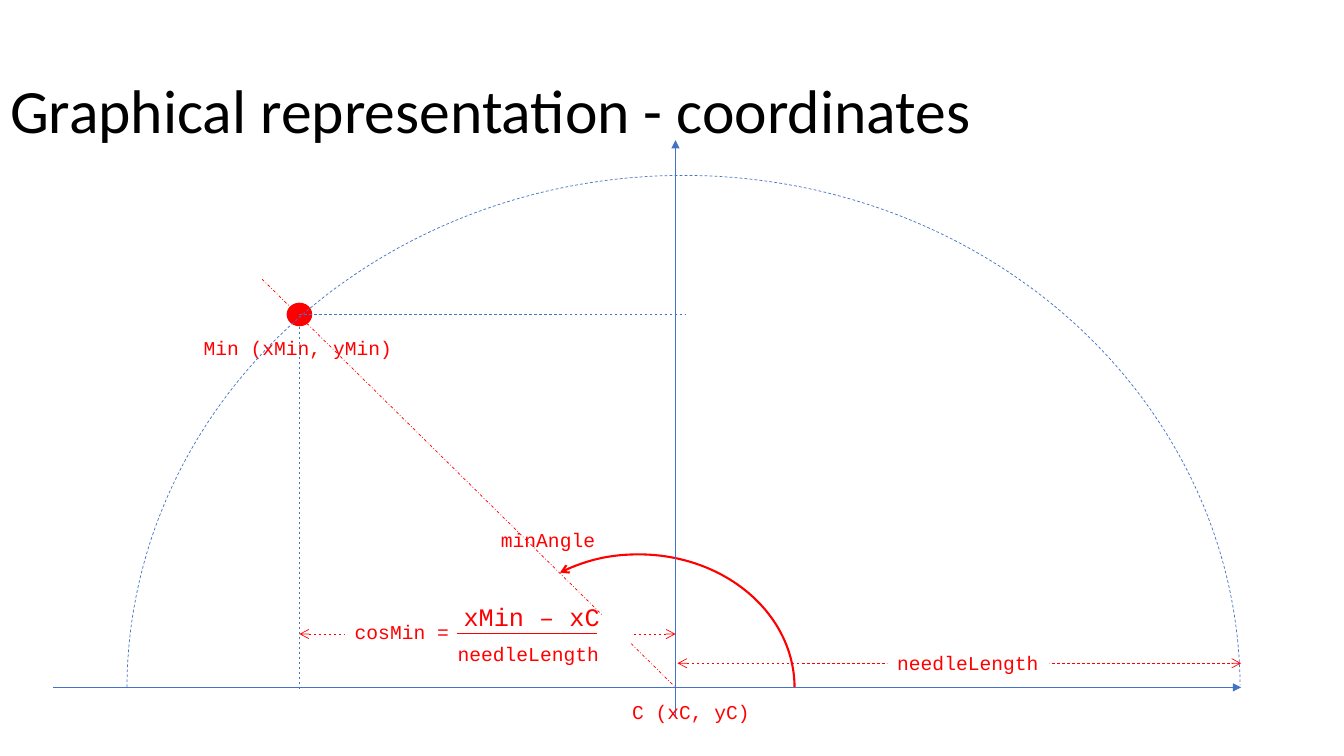
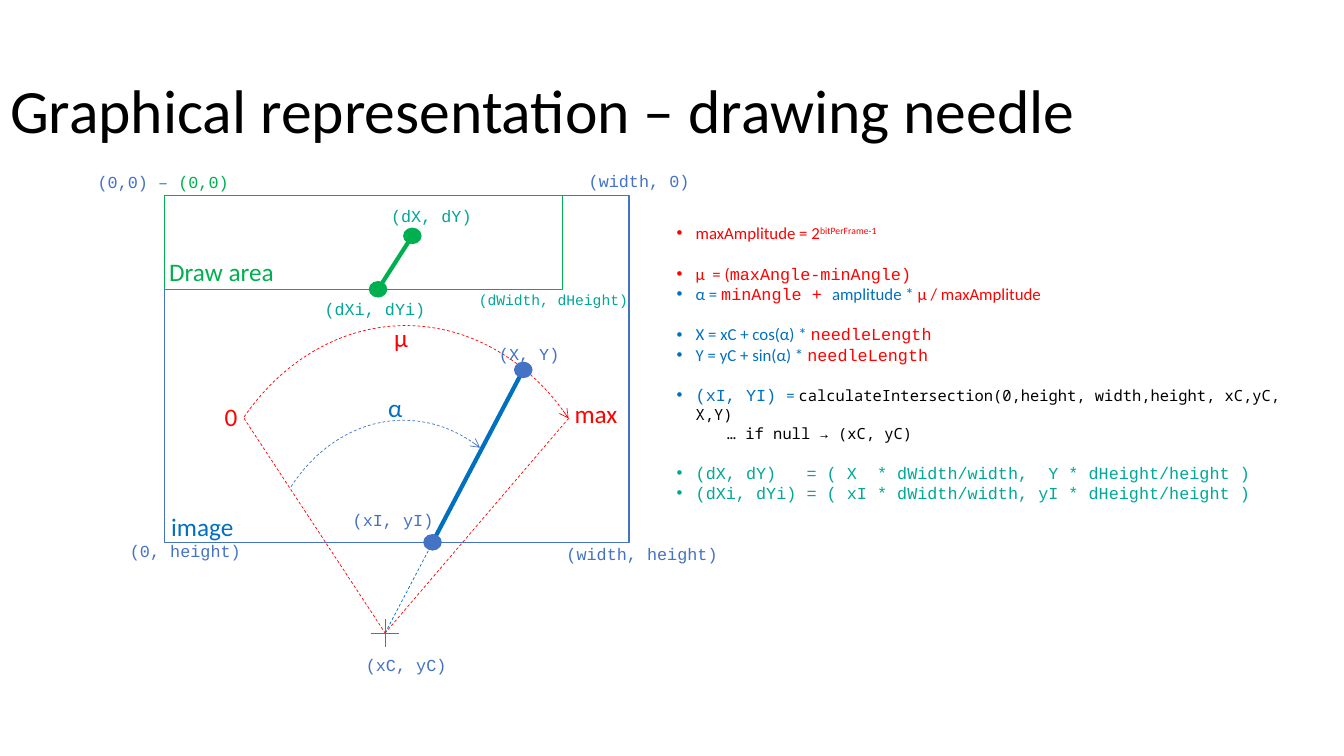
import dataclasses

import lxml.etree
import pptx
import pptx.dml.color
import pptx.enum.dml
import pptx.enum.shapes
import pptx.enum.text
import pptx.oxml.ns
import pptx.util

Inches = pptx.util.Inches
Pt = pptx.util.Pt
qn = pptx.oxml.ns.qn
SHAPE = pptx.enum.shapes.MSO_SHAPE
DASH = pptx.enum.dml.MSO_LINE.DASH
DASH_DOT = pptx.enum.dml.MSO_LINE.DASH_DOT
LEFT = pptx.enum.text.PP_ALIGN.LEFT


@dataclasses.dataclass(frozen=True)
class Theme:
    black: str = "000000"
    white: str = "FFFFFF"
    red: str = "FF0000"
    blue: str = "4472C4"
    deep_blue: str = "0070C0"
    green: str = "00B050"
    teal: str = "01A797"
    sans: str = "Calibri"
    code: str = "Courier New"
    mono: str = "Noto Sans Mono"
    title: float = 44
    large: float = 18
    medium: float = 14
    small: float = 12
    mono_size: float = 11
    tiny: float = 10.5
    hairline: float = 0.5
    outline: float = 1
    arc: float = 1.5
    needle: float = 3


THEME = Theme()


@dataclasses.dataclass(frozen=True)
class Box:
    left: float
    top: float
    width: float
    height: float


def apply_format(target, values):
    for name, value in values.items():
        setattr(target, name, value)


def rgb(color):
    return pptx.dml.color.RGBColor.from_string(color)


def place(shape, box):
    apply_format(shape, {name: Inches(value) for name, value in dataclasses.asdict(box).items()})


def add_run(paragraph, text, color, font, size):
    run = paragraph.add_run()
    run.text = text
    apply_format(run.font, {"name": font, "size": Pt(size)})
    run.font.color.rgb = rgb(color)
    return run


class Sketch:
    def __init__(self, slide, box):
        self.shapes = slide.shapes
        self.box = box

    def at(self, x, y):
        return Inches(self.box.left + x), Inches(self.box.top + y)

    def stroke(self, shape, color, width, dash=None, head=None, tail=None):
        shape.line.color.rgb = rgb(color)
        apply_format(shape.line, {"width": Pt(width), "dash_style": dash})
        properties = shape._element.spPr
        outline = properties.find(qn("a:ln"))
        for tag, arrow in (("a:headEnd", head), ("a:tailEnd", tail)):
            if arrow:
                lxml.etree.SubElement(outline, qn(tag), type=arrow)
        lxml.etree.SubElement(properties, qn("a:effectLst"))

    def line(self, start, end, color, width=THEME.hairline, **style):
        connector = self.shapes.add_connector(
            pptx.enum.shapes.MSO_CONNECTOR.STRAIGHT, *self.at(*start), *self.at(*end))
        self.stroke(connector, color, width, **style)

    def outline(self, kind, x, y, width, height, color, weight, **style):
        shape = self.shapes.add_shape(kind, *self.at(x, y), Inches(width), Inches(height))
        shape.fill.background()
        self.stroke(shape, color, weight, **style)
        return shape

    def arc(self, x, y, width, height, start, end, color, weight=THEME.hairline, **style):
        shape = self.outline(SHAPE.ARC, x, y, width, height, color, weight, **style)
        for index, degrees in enumerate((start, end)):
            shape.adjustments[index] = degrees * 0.6

    def dot(self, center, width, height, color):
        x, y = center
        shape = self.outline(SHAPE.OVAL, x - width / 2, y - height / 2, width, height,
                             color, THEME.outline)
        shape.fill.solid()
        shape.fill.fore_color.rgb = rgb(color)

    def label(self, x, y, width, runs, size, font=THEME.code, fill=None, wrap=False):
        height = size * 1.2 / 72 + 0.1
        shape = self.shapes.add_textbox(*self.at(x, y), Inches(width), Inches(height))
        shape.text_frame.word_wrap = wrap
        if fill:
            shape.fill.solid()
            shape.fill.fore_color.rgb = rgb(fill)
        for text, color in runs:
            add_run(shape.text_frame.paragraphs[0], text, color, font, size)


def add_titled_slide(presentation, layout_index, title):
    slide = presentation.slides.add_slide(presentation.slide_layouts[layout_index])
    shape = slide.shapes.title
    place(shape, Box(0, 0.4, 11.5, 1.45))
    apply_format(shape.text_frame, {
        "vertical_anchor": pptx.enum.text.MSO_ANCHOR.MIDDLE,
        "auto_size": pptx.enum.text.MSO_AUTO_SIZE.NONE,
        "word_wrap": True,
    })
    paragraph = shape.text_frame.paragraphs[0]
    apply_format(paragraph, {"alignment": LEFT, "line_spacing": 0.9})
    add_run(paragraph, title, THEME.black, THEME.sans, THEME.title)
    return slide


def draw_coordinates(slide, box):
    sketch = Sketch(slide, box)
    red, blue = THEME.red, THEME.blue
    center_x, axis_y = 6.17, 5.43
    min_x, min_y = 2.44, 1.73
    cosine_y, length_y = 4.9, 5.19
    dimension = {"dash": DASH, "head": "arrow", "tail": "arrow"}

    def label(x, y, width, text, size=THEME.medium, **style):
        sketch.label(x, y, width, [(text, red)], size, **style)

    sketch.line((center_x + 0.02, length_y), (box.width, length_y), red, **dimension)
    sketch.line((2.07, 1.38), (center_x, axis_y), red, dash=DASH_DOT)
    sketch.arc(4.26, 4.11, 3.09, 2.64, 235.55, 0, red, THEME.arc, head="arrow")
    label(4.34, 3.8, 1.14, "minAngle")
    label(1.39, 1.89, 2.08, "Min (xMin, yMin)")
    sketch.dot((min_x, min_y), 0.24, 0.22, red)
    sketch.line((center_x, box.height), (center_x, 0), blue, tail="triangle")
    sketch.line((0, axis_y), (box.width, axis_y), blue, tail="triangle")
    sketch.line((min_x, min_y + 0.12), (min_x, axis_y + 0.04), blue, dash=DASH)
    sketch.arc(0.73, 0.35, 11.04, 10.19, 180.18, 359.62, blue, dash=DASH)
    sketch.line((min_x, min_y), (center_x + 0.09, min_y), blue, dash=DASH)
    label(5.64, 5.5, 1.38, "C (xC, yC)")
    label(8.27, 5.02, 1.61, "needleLength", fill=THEME.white)
    sketch.line((min_x, cosine_y), (center_x, cosine_y), red, **dimension)
    label(2.89, 4.71, 2.84, "cosMin =", fill=THEME.white, wrap=True)
    label(3.91, 4.93, 1.61, "needleLength", fill=THEME.white)
    label(3.97, 4.53, 1.67, "xMin – xC", THEME.large, wrap=True)
    sketch.line((4, cosine_y - 0.01), (5.39, cosine_y - 0.01), red)


def draw_needle(slide, box):
    sketch = Sketch(slide, box)
    red, blue, deep_blue = THEME.red, THEME.blue, THEME.deep_blue
    green, teal = THEME.green, THEME.teal
    draw_width, draw_height = 3.95, 0.93
    center_x, center_y = center = (2.19, 4.34)
    needle_start, needle_end = (2.66, box.height), (3.56, 1.73)
    small_start, small_end = (2.12, draw_height), (2.46, 0.4)

    sketch.outline(SHAPE.RECTANGLE, 0, 0, box.width, box.height, blue, THEME.outline)
    sketch.outline(SHAPE.RECTANGLE, 0, 0, draw_width, draw_height, green, THEME.outline)
    for x, y in ((0, 0.14), (0.14, 0)):
        sketch.line((center_x - x, center_y - y), (center_x + x, center_y + y), blue)
    sketch.arc(0.31, 1.29, 4.17, 5.02, 224.98, 315.48, red, dash=DASH, tail="arrow")
    sketch.arc(0.94, 2.23, 2.86, 3.54, 224.98, 296.98, blue, dash=DASH, tail="arrow")
    for limit_x in (0.79, 4.01):
        sketch.line((limit_x, 2.21), center, red, dash=DASH)
    sketch.line(center, needle_end, deep_blue, dash=DASH)
    for start, end, line_color, dot_color in (
            (needle_start, needle_end, deep_blue, blue),
            (small_start, small_end, green, green)):
        sketch.line(start, end, line_color, THEME.needle)
        for point in (start, end):
            sketch.dot(point, 0.17, 0.15, dot_color)

    for x, y, width, text, color in (
            (-0.03, 3.08, 0.83, "image", deep_blue),
            (-0.05, 0.55, 1.25, "Draw area", green),
            (0.5, 1.99, 0.33, "0", red),
            (3.97, 1.96, 0.63, "max", red),
            (2.12, 1.9, 0.35, "α", deep_blue),
            (2.18, 1.21, 0.34, "μ", red)):
        sketch.label(x, y, width, [(text, color)], THEME.large, THEME.sans)
    for x, y, width, text, color in (
            (3.89, 3.41, 1.73, "(width, height)", blue),
            (3.22, 1.42, 0.81, "(X, Y)", blue),
            (2.15, 0.05, 1.02, "(dX, dY)", teal),
            (1.9, 4.51, 1.02, "(xC, yC)", blue),
            (1.77, 3.07, 1.02, "(xI, yI)", blue),
            (1.49, 0.97, 1.22, "(dXi, dYi)", teal),
            (-0.44, 3.38, 1.32, "(0, height)", blue),
            (4.11, -0.3, 1.22, "(width, 0)", blue)):
        sketch.label(x, y, width, [(text, color)], THEME.small)
    sketch.label(-0.76, -0.29, 1.52, [("(0,0) – ", blue), ("(0,0)", green)], THEME.small)
    sketch.label(3.02, 0.9, 1.69, [("(dWidth, dHeight)", teal)], THEME.tiny)


def format_list_paragraph(paragraph, bulleted, starts_group):
    apply_format(paragraph, {
        "alignment": LEFT,
        "space_before": Pt(THEME.small * 1.22 if starts_group else 0),
        "level": 0 if bulleted else 1,
    })
    properties = paragraph._p.get_or_add_pPr()
    margin, indent = (0.19, -0.19) if bulleted else (0.5, 0)
    properties.set("marL", str(Inches(margin)))
    properties.set("indent", str(Inches(indent)))
    if bulleted:
        lxml.etree.SubElement(properties, qn("a:buFont"), typeface="Arial")
        lxml.etree.SubElement(properties, qn("a:buChar"), char="•")
    else:
        lxml.etree.SubElement(properties, qn("a:buNone"))


def fill_formulas(slide, box):
    red, blue, teal, black = THEME.red, THEME.deep_blue, THEME.teal, THEME.black
    sans = (THEME.sans, THEME.small)
    code = (THEME.code, THEME.small)
    mono = (THEME.mono, THEME.mono_size)
    groups = [
        [[("maxAmplitude = 2", red, sans), ("bitPerFrame-1", red, sans)]],
        [[("μ  = (", red, sans), ("maxAngle-minAngle)", red, code)],
         [("α = ", blue, sans), ("minAngle + ", red, code),
          ("amplitude * ", blue, sans), ("μ / maxAmplitude", red, sans)]],
        [[(f"{formula} * ", blue, sans), ("needleLength", red, code)]
         for formula in ("X = xC + cos(α)", "Y = yC + sin(α)")],
        [[("(xI, YI) ", blue, code), ("= ", blue, sans),
          ("calculateIntersection(0,height, width,height, xC,yC, X,Y)", black, mono)],
         [("… if null → (xC, yC)", black, mono)]],
        [[("(dX, dY)   = ( X  * dWidth/width,  Y * dHeight/height )", teal, code)],
         [("(dXi, dYi) = ( xI * dWidth/width, yI * dHeight/height )", teal, code)]],
    ]
    shape = slide.placeholders[1]
    place(shape, box)
    frame = shape.text_frame
    apply_format(frame, {
        "word_wrap": True,
        "auto_size": pptx.enum.text.MSO_AUTO_SIZE.NONE,
        "vertical_anchor": pptx.enum.text.MSO_ANCHOR.TOP,
    })
    paragraph = frame.paragraphs[0]
    for group_index, group in enumerate(groups):
        for line_index, runs in enumerate(group):
            if group_index or line_index:
                paragraph = frame.add_paragraph()
            bulleted = not runs[0][0].startswith("…")
            format_list_paragraph(paragraph, bulleted, group_index > 0 and line_index == 0)
            for text, color, (font, size) in runs:
                add_run(paragraph, text, color, font, size)
    exponent = frame.paragraphs[0].runs[1]
    exponent._r.get_or_add_rPr().set("baseline", "30000")


def main():
    presentation = pptx.Presentation()
    apply_format(presentation, {"slide_width": Inches(13.33), "slide_height": Inches(7.5)})
    coordinates = add_titled_slide(presentation, 5, "Graphical representation - coordinates")
    draw_coordinates(coordinates, Box(0.53, 1.39, 11.78, 5.72))
    needle = add_titled_slide(presentation, 1, "Graphical representation – drawing needle")
    draw_needle(needle, Box(1.63, 1.94, 4.61, 3.44))
    fill_formulas(needle, Box(6.61, 2.16, 6.55, 3.52))
    presentation.save("out.pptx")


if __name__ == "__main__":
    main()
